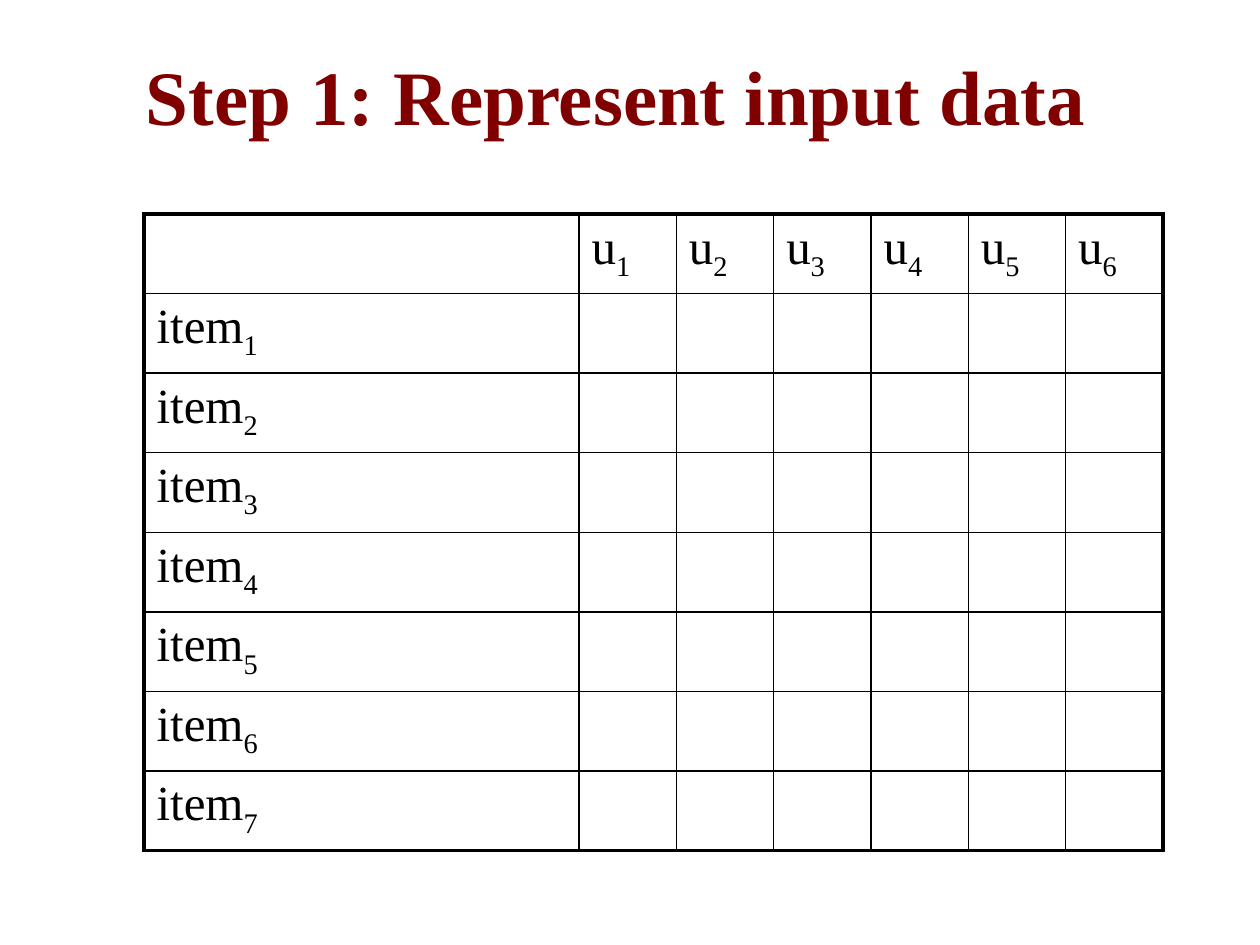
"""Build a slide with a title and an empty item-by-user table."""
from dataclasses import dataclass

from lxml.etree import SubElement
from pptx import Presentation
from pptx.dml.color import RGBColor
from pptx.enum.text import MSO_ANCHOR, PP_ALIGN
from pptx.oxml.ns import qn
from pptx.util import Pt

EMU_PER_PX = 914400 / 126
COLORS = {"title": "800000", "text": "000000", "border": "000000"}
FORMATS = {
    "title": {"name": "Times New Roman", "size": Pt(44), "bold": True},
    "text": {"name": "Times New Roman", "size": Pt(28), "bold": False},
}
OUTER, INNER = Pt(2.25), Pt(1)


@dataclass
class Box:
    left: int
    top: int
    width: int
    height: int

    def emu(self) -> list[int]:
        return [px(v) for v in (self.left, self.top, self.width, self.height)]


@dataclass
class Label:
    row: int
    col: int
    base: str
    index: int


def px(n: int) -> int:
    return round(n * EMU_PER_PX)


def add_run(p, text: str, style: str, baseline: int = 0) -> None:
    r = p.add_run()
    r.text = text
    for name, value in FORMATS[style].items():
        setattr(r.font, name, value)
    r.font.color.rgb = RGBColor.from_string(COLORS[style])
    if baseline:
        r.font._element.set("baseline", str(baseline * 1000))


def add_title(s, box: Box, text: str) -> None:
    tf = s.shapes.add_textbox(*box.emu()).text_frame
    tf.word_wrap = True
    tf.vertical_anchor = MSO_ANCHOR.MIDDLE
    p = tf.paragraphs[0]
    p.alignment = PP_ALIGN.CENTER
    add_run(p, text, "title")


def set_borders(cell, widths: dict[str, int]) -> None:
    tc_pr = cell._tc.get_or_add_tcPr()
    for i, (side, width) in enumerate(widths.items()):
        ln = SubElement(tc_pr, qn(f"a:ln{side}"), w=str(width))
        fill = SubElement(ln, qn("a:solidFill"))
        SubElement(fill, qn("a:srgbClr"), val=COLORS["border"])
        tc_pr.insert(i, ln)


def add_grid(s, box: Box, first_width: int, rows: int, cols: int, labels: list[Label]) -> None:
    table = s.shapes.add_table(rows, cols, *box.emu()).table
    table.first_row = table.horz_banding = False
    for row in table.rows:
        row.height = px(box.height) // rows
    for i, column in enumerate(table.columns):
        column.width = px(box.width - first_width) // (cols - 1) if i else px(first_width)
    for i in range(rows):
        for j in range(cols):
            cell = table.cell(i, j)
            cell.fill.background()
            edges = {"L": j == 0, "R": j == cols - 1, "T": i == 0, "B": i == rows - 1}
            set_borders(cell, {side: OUTER if edge else INNER for side, edge in edges.items()})
    for label in labels:
        p = table.cell(label.row, label.col).text_frame.paragraphs[0]
        add_run(p, label.base, "text")
        add_run(p, str(label.index), "text", -25)


def main() -> None:
    prs = Presentation()
    prs.slide_width, prs.slide_height = px(1260), px(945)
    s = prs.slides.add_slide(prs.slide_layouts[6])
    add_title(s, Box(25, 16, 1201, 158), "Step 1: Represent input data ")
    users = [Label(0, n, "u", n) for n in range(1, 7)]
    items = [Label(n, 0, "item", n) for n in range(1, 8)]
    add_grid(s, Box(144, 214, 1019, 571), 435, len(items) + 1, len(users) + 1, users + items)
    prs.save("out.pptx")


if __name__ == "__main__":
    main()
